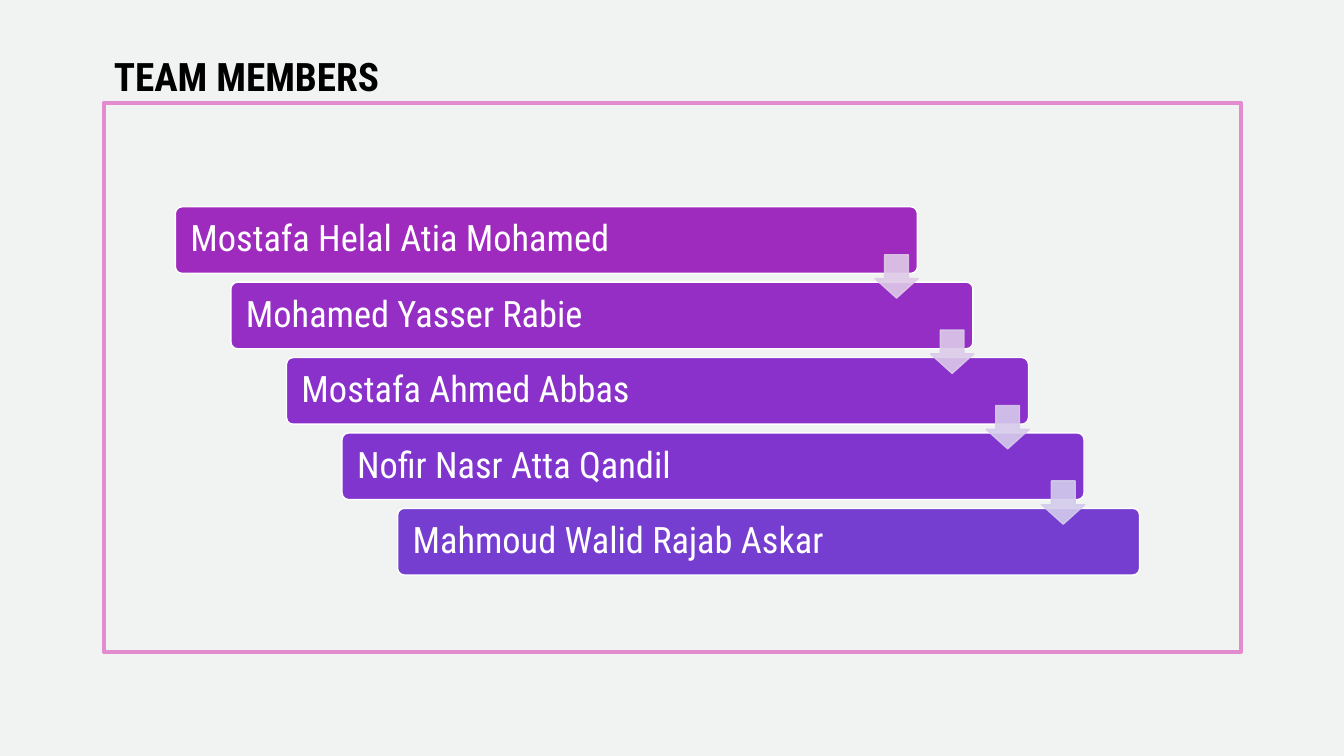
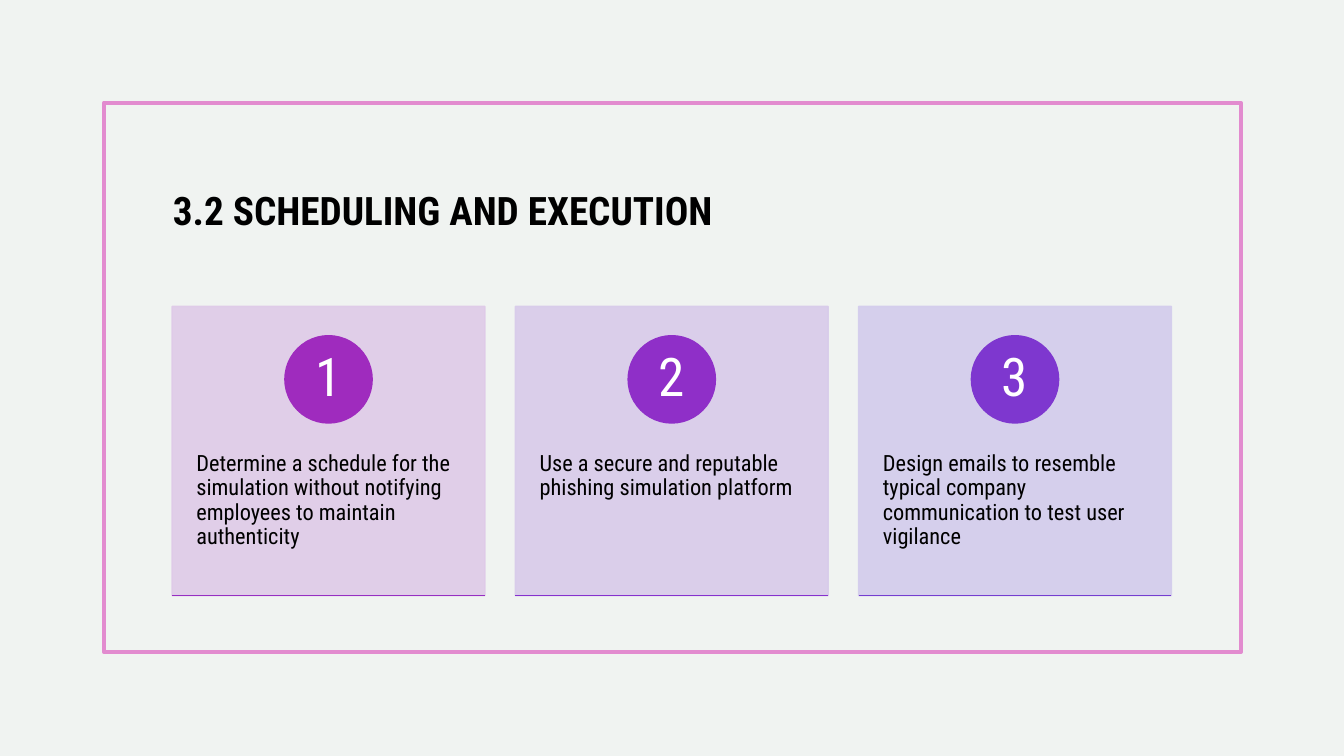
"""Build the team members and scheduling slides."""
from lxml import etree
from pptx import Presentation
from pptx import util as u
from pptx.dml.color import RGBColor
from pptx.enum import shapes, text
from pptx.oxml.ns import qn

FONT = "Roboto Condensed"
PAPER = RGBColor(0xF0, 0xF3, 0xF1)
PINK = RGBColor(0xE2, 0x8B, 0xCF)
BLACK = RGBColor(0x00, 0x00, 0x00)
WHITE = RGBColor(0xFF, 0xFF, 0xFF)
MAGENTA = RGBColor(0x9F, 0x2B, 0xBE)
INDIGO = RGBColor(0x75, 0x3D, 0xD0)
PALE_MAGENTA = RGBColor(0xDF, 0xCA, 0xE8)
PALE_INDIGO = RGBColor(0xD3, 0xCC, 0xEC)

MEMBERS = [
    ("Mostafa Helal Atia Mohamed", MAGENTA),
    ("Mohamed Yasser Rabie", RGBColor(0x95, 0x2E, 0xC4)),
    ("Mostafa Ahmed Abbas", RGBColor(0x8A, 0x30, 0xCB)),
    ("Nofir Nasr Atta Qandil", RGBColor(0x80, 0x35, 0xCF)),
    ("Mahmoud Walid Rajab Askar", INDIGO),
]
ARROW_COLOURS = [PALE_MAGENTA, RGBColor(0xDB, 0xCA, 0xE9),
                 RGBColor(0xD7, 0xCB, 0xEB), PALE_INDIGO]
STEPS = [
    ("Determine a schedule for the simulation without notifying employees to maintain authenticity",
     PALE_MAGENTA, MAGENTA, RGBColor(0x97, 0x2E, 0xC2)),
    ("Use a secure and reputable phishing simulation platform",
     RGBColor(0xD8, 0xCB, 0xEA), RGBColor(0x8F, 0x2F, 0xC8), RGBColor(0x86, 0x31, 0xCE)),
    ("Design emails to resemble typical company communication to test user vigilance",
     PALE_INDIGO, RGBColor(0x7E, 0x37, 0xCF), INDIGO),
]


class Deck:
    """Hold the shared style and the current slide."""

    def __init__(self):
        """Set the slide size and the background."""
        self.presentation = Presentation()
        self.presentation.slide_width = u.Cm(33.87)
        self.presentation.slide_height = u.Cm(19.05)
        fill = self.presentation.slide_master.background.fill
        fill.solid()
        fill.fore_color.rgb = PAPER
        self.slide = None

    def new_slide(self, title, left, top, width, height):
        """Start a slide with the pink frame and a title."""
        self.slide = self.presentation.slides.add_slide(self.presentation.slide_layouts[6])
        self.shape(shapes.MSO_SHAPE.RECTANGLE, 2.62, 2.59, 28.65, 13.84, None, PINK, 3)
        box = self.slide.shapes.add_textbox(u.Cm(left), u.Cm(top), u.Cm(width), u.Cm(height))
        self.put_text(box, title, 28, BLACK, (0.25, 0.13, 0.25, 0.13), spacing=1.2, bold=True)
        return box

    def shape(self, kind, left, top, width, height, fill, line, weight=1, opacity=100):
        """Add a preset shape without a shadow."""
        shape = self.slide.shapes.add_shape(
            kind, u.Cm(left), u.Cm(top), u.Cm(width), u.Cm(height))
        shape.shadow.inherit = False
        if fill is None:
            shape.fill.background()
        else:
            shape.fill.solid()
            shape.fill.fore_color.rgb = fill
        shape.line.color.rgb = line
        shape.line.width = u.Pt(weight)
        if opacity < 100:
            for colour in shape.element.spPr.iter(qn("a:srgbClr")):
                etree.SubElement(colour, qn("a:alpha"), val=str(opacity * 1000))
        return shape

    def put_text(self, shape, words, size, colour, insets, anchor=text.MSO_ANCHOR.TOP,
                 align=text.PP_ALIGN.LEFT, spacing=0.9, bold=False):
        """Put one formatted paragraph into a shape."""
        frame = shape.text_frame
        frame.word_wrap = True
        frame.vertical_anchor = anchor
        (frame.margin_left, frame.margin_top,
         frame.margin_right, frame.margin_bottom) = map(u.Cm, insets)
        frame.text = words
        paragraph = frame.paragraphs[0]
        paragraph.alignment = align
        paragraph.line_spacing = spacing
        font = paragraph.runs[0].font
        font.name = FONT
        font.size = u.Pt(size)
        font.bold = bold
        font.color.rgb = colour

    def bar(self, left, top, name, colour):
        """Add a rounded bar with a member's name."""
        bar = self.shape(shapes.MSO_SHAPE.ROUNDED_RECTANGLE,
                         left, top, 18.7, 1.68, colour, WHITE)
        bar.adjustments[0] = 0.1
        self.put_text(bar, name, 26, WHITE, (0.33, 0.28, 0.28, 0.28), text.MSO_ANCHOR.MIDDLE)

    def arrow(self, left, top, colour):
        """Add a pale arrow that points down."""
        arrow = self.shape(shapes.MSO_SHAPE.DOWN_ARROW,
                           left, top, 1.09, 1.09, colour, colour, opacity=90)
        arrow.adjustments[0] = 0.55
        arrow.adjustments[1] = 0.45

    def rule(self, left, top, width, colour):
        """Add a thin horizontal line."""
        rule = self.slide.shapes.add_connector(
            shapes.MSO_CONNECTOR.STRAIGHT,
            u.Cm(left), u.Cm(top), u.Cm(left + width), u.Cm(top))
        rule.line.color.rgb = colour
        rule.line.width = u.Pt(1)
        etree.SubElement(rule.element.spPr, qn("a:effectLst"))

    def card(self, left, number, words, pale, strong, edge):
        """Add a numbered card with a coloured lower edge."""
        top, width, height, diameter = 7.72, 7.88, 7.29, 2.2
        card = self.shape(shapes.MSO_SHAPE.RECTANGLE,
                          left, top, width, height, pale, pale, opacity=90)
        self.put_text(card, words, 16, BLACK, (0.61, 3.68, 0.61, 0))
        circle = self.shape(shapes.MSO_SHAPE.OVAL, left + (width - diameter) / 2, top + 0.74,
                            diameter, diameter, strong, strong)
        self.put_text(circle, str(number), 38, WHITE, (0, 0, 0, 0),
                      text.MSO_ANCHOR.MIDDLE, text.PP_ALIGN.CENTER)
        self.rule(left, top + height, width, edge)


def main():
    """Build both slides and save them."""
    deck = Deck()
    deck.new_slide("TEAM MEMBERS", 2.62, 0.94, 9.78, 2.01)
    step_right, step_down = 1.4, 1.9
    for index, (name, colour) in enumerate(MEMBERS):
        deck.bar(4.42 + index * step_right, 5.21 + index * step_down, name, colour)
    for index, colour in enumerate(ARROW_COLOURS):
        deck.arrow(22.05 + index * step_right, 6.42 + index * step_down, colour)

    title = deck.new_slide("3.2 SCHEDULING AND EXECUTION", 4.11, 3.61, 19.2, 3.12)
    title.text_frame.vertical_anchor = text.MSO_ANCHOR.MIDDLE
    for index, step in enumerate(STEPS):
        deck.card(4.34 + index * 8.65, index + 1, *step)
    deck.presentation.save("out.pptx")


if __name__ == "__main__":
    main()
